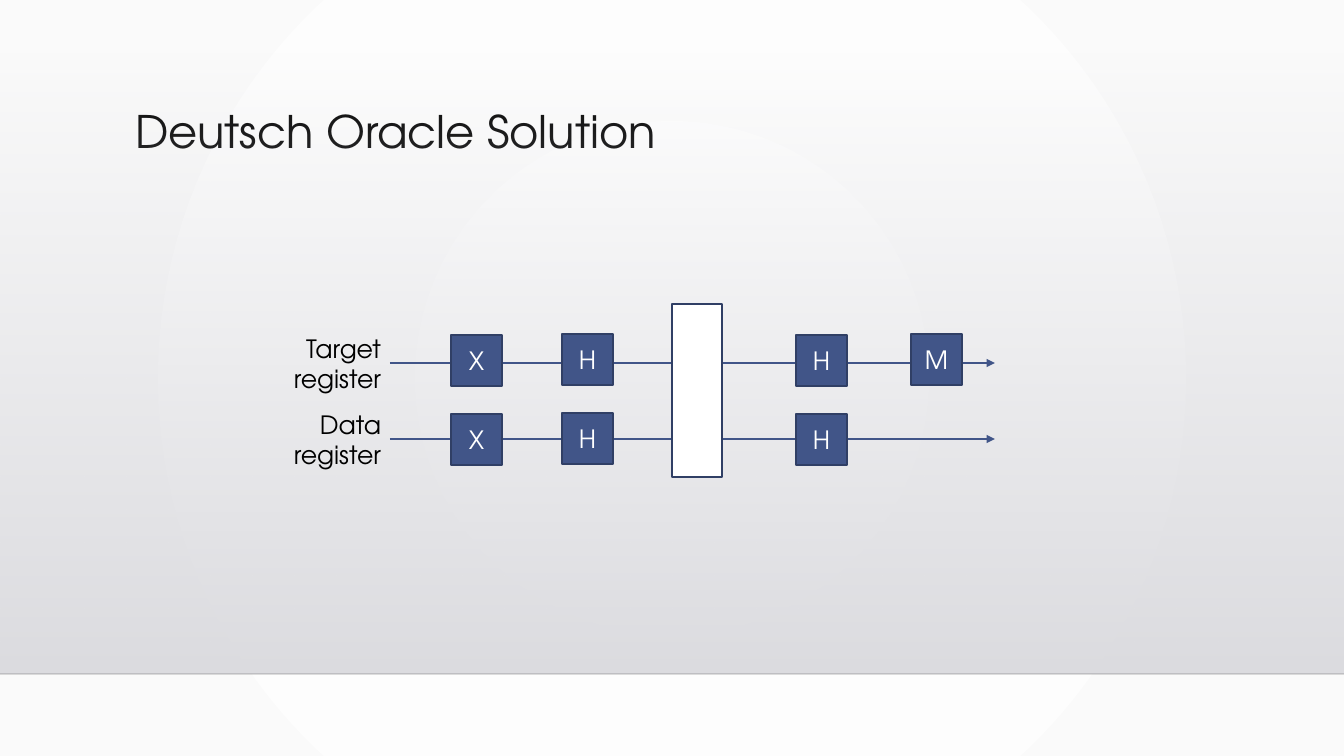
import pptx
import pptx.util
import pptx.dml.color
import pptx.enum.shapes
import pptx.enum.text
import pptx.oxml
import pptx.oxml.ns

RGB = pptx.dml.color.RGBColor
PP = pptx.enum.text.PP_ALIGN
ANCHOR = pptx.enum.text.MSO_ANCHOR
NS = pptx.oxml.ns.nsdecls("a")
QN = pptx.oxml.ns.qn

BLACK = RGB(0x00, 0x00, 0x00)
WHITE = RGB(0xFF, 0xFF, 0xFF)
OFF_WHITE = RGB(0xFA, 0xFA, 0xFA)
PANEL_TOP = RGB(0xDC, 0xDC, 0xE0)
PANEL_BOTTOM = RGB(0xDE, 0xDE, 0xE2)
BLUE = RGB(0x41, 0x55, 0x88)
DARK_BLUE = RGB(0x30, 0x3F, 0x65)

FONT = "TeX Gyre Adventor"
EMU_PER_PX = 914400 / 100.8
GATE = 51
WIRE_START, WIRE_END = 390, 995
# label, wire y, label y, gate offset
REGISTERS = [("Target\nregister", 363, 328, 0), ("Data\nregister", 439, 404, 79)]
# gate name, x, y in the first row, number of registers it acts on
GATES = [("X", 451, 335, 2), ("H", 562, 334, 2), ("H", 796, 335, 2), ("M", 911, 334, 1)]


def px(*lengths):
    return [pptx.util.Emu(round(n * EMU_PER_PX)) for n in lengths]


def format_text(tf, size, color, align):
    for p in tf.paragraphs:
        p.alignment = align
        for r in p.runs:
            r.font.size = pptx.util.Pt(size)
            r.font.name = FONT
            r.font.color.rgb = color


def set_alpha(color_element, percent):
    color_element.append(pptx.oxml.parse_xml(f'<a:alpha {NS} val="{percent * 1000}"/>'))


def set_gradient(fill, first, last):
    fill.gradient()
    for stop, color in zip(fill.gradient_stops, (first, last)):
        stop.color.rgb = color


def add_background(slide):
    """Fill the slide with a gradient that spreads from its centre."""
    set_gradient(slide.background.fill, WHITE, OFF_WHITE)
    grad = slide._element.find(".//" + QN("a:gradFill"))
    grad.replace(grad.find(QN("a:lin")), pptx.oxml.parse_xml(
        f'<a:path {NS} path="circle">'
        '<a:fillToRect l="50000" t="50000" r="50000" b="50000"/></a:path>'))


def add_line(shapes, x1, x2, y, color, width):
    line = shapes.add_connector(pptx.enum.shapes.MSO_CONNECTOR.STRAIGHT, *px(x1, y, x2, y))
    line.line.color.rgb = color
    line.line.width = pptx.util.Pt(width)
    line._element.spPr.append(pptx.oxml.parse_xml(f"<a:effectLst {NS}/>"))
    return line


def add_wire(shapes, y):
    wire = add_line(shapes, WIRE_START, WIRE_END, y, BLUE, 0.75)
    wire.line._get_or_add_ln().append(
        pptx.oxml.parse_xml(f'<a:tailEnd {NS} type="triangle"/>'))


def add_rect(shapes, x, y, w, h):
    sp = shapes.add_shape(pptx.enum.shapes.MSO_SHAPE.RECTANGLE, *px(x, y, w, h))
    sp.shadow.inherit = False
    return sp


def add_box(shapes, x, y, w, h, fill):
    sp = add_rect(shapes, x, y, w, h)
    sp.fill.solid()
    sp.fill.fore_color.rgb = fill
    sp.line.color.rgb = DARK_BLUE
    sp.line.width = pptx.util.Pt(1.25)
    return sp


def add_gate(shapes, name, x, y):
    tf = add_box(shapes, x, y, GATE, GATE, BLUE).text_frame
    tf.text = name
    tf.vertical_anchor = ANCHOR.MIDDLE
    format_text(tf, 18, WHITE, PP.CENTER)


def add_label(shapes, text, y):
    tf = shapes.add_textbox(*px(281, y, 110, 72)).text_frame
    tf.text = text
    tf.word_wrap = False
    tf.auto_size = pptx.enum.text.MSO_AUTO_SIZE.SHAPE_TO_FIT_TEXT
    format_text(tf, 18, BLACK, PP.RIGHT)


def add_panel(shapes):
    """Shade the slide down to a floor line."""
    panel = add_rect(shapes, 0, 51, 1344, 623)
    set_gradient(panel.fill, PANEL_TOP, PANEL_BOTTOM)
    panel.fill.gradient_angle = 270
    set_alpha(panel._element.find(".//" + QN("a:srgbClr")), 0)
    panel.line.fill.background()
    floor = add_line(shapes, 0, 1344, 674, BLACK, 1)
    set_alpha(floor._element.find(".//" + QN("a:srgbClr")), 20)


def set_title(slide, text):
    title = slide.shapes.title
    title.left, title.top, title.width, title.height = px(125, 105, 1058, 116)
    tf = title.text_frame
    tf.text = text
    tf.vertical_anchor = ANCHOR.TOP
    tf.paragraphs[0].line_spacing = 0.9
    format_text(tf, 32, BLACK, PP.LEFT)


def add_circuit(slide):
    shapes = slide.shapes.add_group_shape().shapes
    for label, wire_y, label_y, _ in REGISTERS:
        add_wire(shapes, wire_y)
        add_label(shapes, label, label_y)
    add_box(shapes, 672, 304, 50, 173, WHITE)
    for name, x, y, count in GATES:
        for _, _, _, offset in REGISTERS[:count]:
            add_gate(shapes, name, x, y + offset)


def main():
    prs = pptx.Presentation()
    prs.slide_width, prs.slide_height = px(1344, 756)
    slide = prs.slides.add_slide(prs.slide_layouts[5])
    add_background(slide)
    add_panel(slide.shapes)
    set_title(slide, "Deutsch Oracle Solution")
    add_circuit(slide)
    prs.save("out.pptx")


if __name__ == "__main__":
    main()
